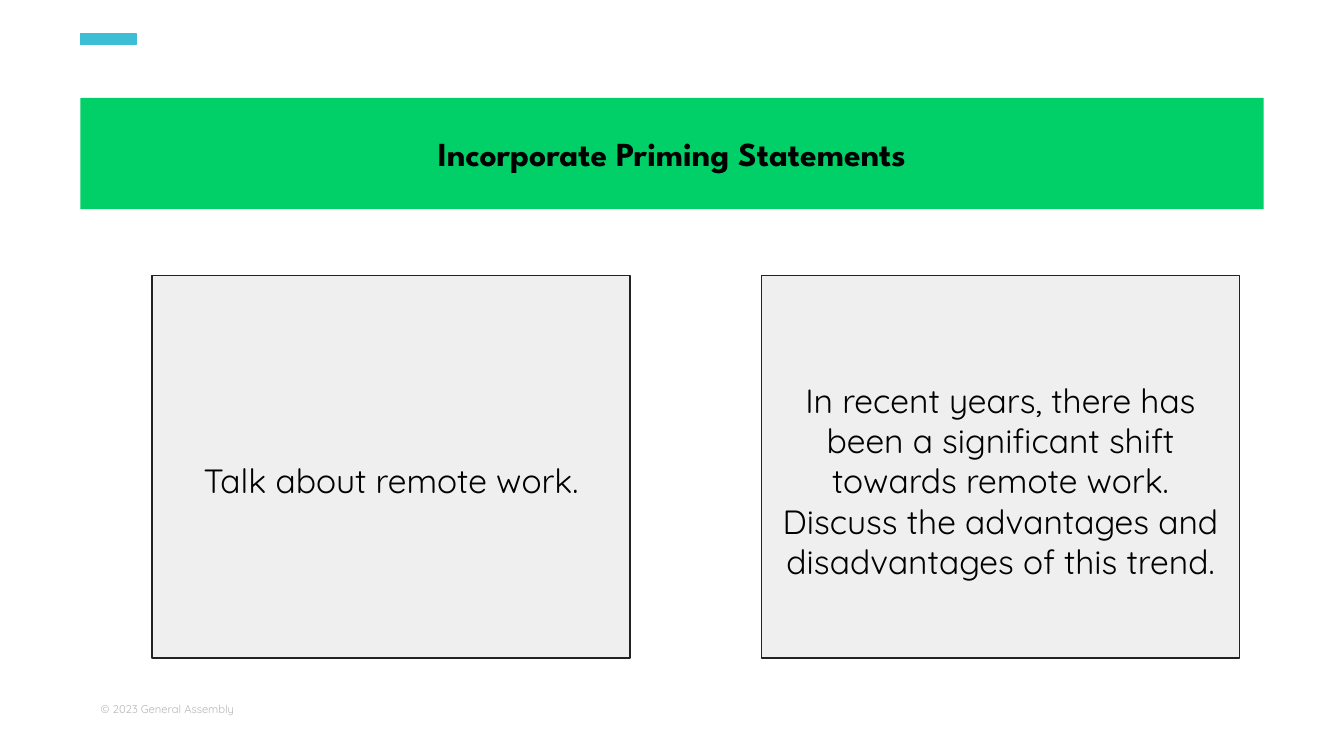
from pptx import Presentation
from pptx.dml.color import RGBColor
from pptx.enum.shapes import MSO_SHAPE
from pptx.enum.text import MSO_ANCHOR, MSO_AUTO_SIZE, PP_ALIGN
from pptx.util import Pt

HUES = {
    "black": "000000",
    "green": "01D068",
    "cyan": "3DBED4",
    "pale": "EFEFEF",
    "edge": "222222",
    "gray": "B7B7B7",
}
CARDS = [
    "Talk about remote work.",
    "In recent years, there has been a significant shift towards remote work. "
    "Discuss the advantages and disadvantages of this trend.",
]


def hue(name):
    """Return the named colour."""
    return RGBColor.from_string(HUES[name])


def write(shape, text, font="Quicksand", size=18, color="black", bold=False,
          align=PP_ALIGN.CENTER, after=10, inset=7.2, top=7.2):
    """Put one formatted paragraph into a shape."""
    frame = shape.text_frame
    frame.word_wrap = True
    frame.auto_size = MSO_AUTO_SIZE.NONE
    frame.vertical_anchor = MSO_ANCHOR.MIDDLE
    frame.margin_left = frame.margin_right = frame.margin_bottom = Pt(inset)
    frame.margin_top = Pt(top)
    frame.text = text
    para = frame.paragraphs[0]
    para.alignment = align
    para.space_before = Pt(0)
    para.space_after = Pt(after)
    face = para.runs[0].font
    face.name, face.size, face.bold = font, Pt(size), bold
    face.color.rgb = hue(color)


def add_box(slide, left, top, width, height, fill, line):
    """Add a filled and outlined rectangle."""
    box = slide.shapes.add_shape(
        MSO_SHAPE.RECTANGLE, Pt(left), Pt(top), Pt(width), Pt(height))
    box.shadow.inherit = False
    box.fill.solid()
    box.fill.fore_color.rgb = hue(fill)
    box.line.color.rgb = hue(line)
    box.line.width = Pt(0.75)
    return box


def set_title(slide, text):
    """Turn the title placeholder into the green banner."""
    title = slide.shapes.title
    title.left, title.top = Pt(43), Pt(52.5)
    title.width, title.height = Pt(634), Pt(59.5)
    title.fill.solid()
    title.fill.fore_color.rgb = hue("green")
    write(title, text, font="League Spartan", bold=True)


def add_foot(slide, text):
    """Add the copyright line."""
    foot = slide.shapes.add_textbox(Pt(54), Pt(372.5), Pt(72), Pt(14.4))
    write(foot, text, size=6, color="gray", align=PP_ALIGN.LEFT,
          after=0, inset=0, top=0)


def main():
    """Build and save the slide."""
    deck = Presentation()
    deck.slide_width, deck.slide_height = Pt(720), Pt(405)
    slide = deck.slides.add_slide(deck.slide_layouts[5])
    set_title(slide, "Incorporate Priming Statements")
    add_box(slide, 43, 18, 30, 5.75, "cyan", "cyan")
    for spot, text in enumerate(CARDS):
        card = add_box(slide, 81.5 + 326.5 * spot, 147.75, 256, 204.75,
                       "pale", "edge")
        write(card, text, top=21.6)
    add_foot(slide, "© 2023 General Assembly")
    deck.save("out.pptx")


if __name__ == "__main__":
    main()
